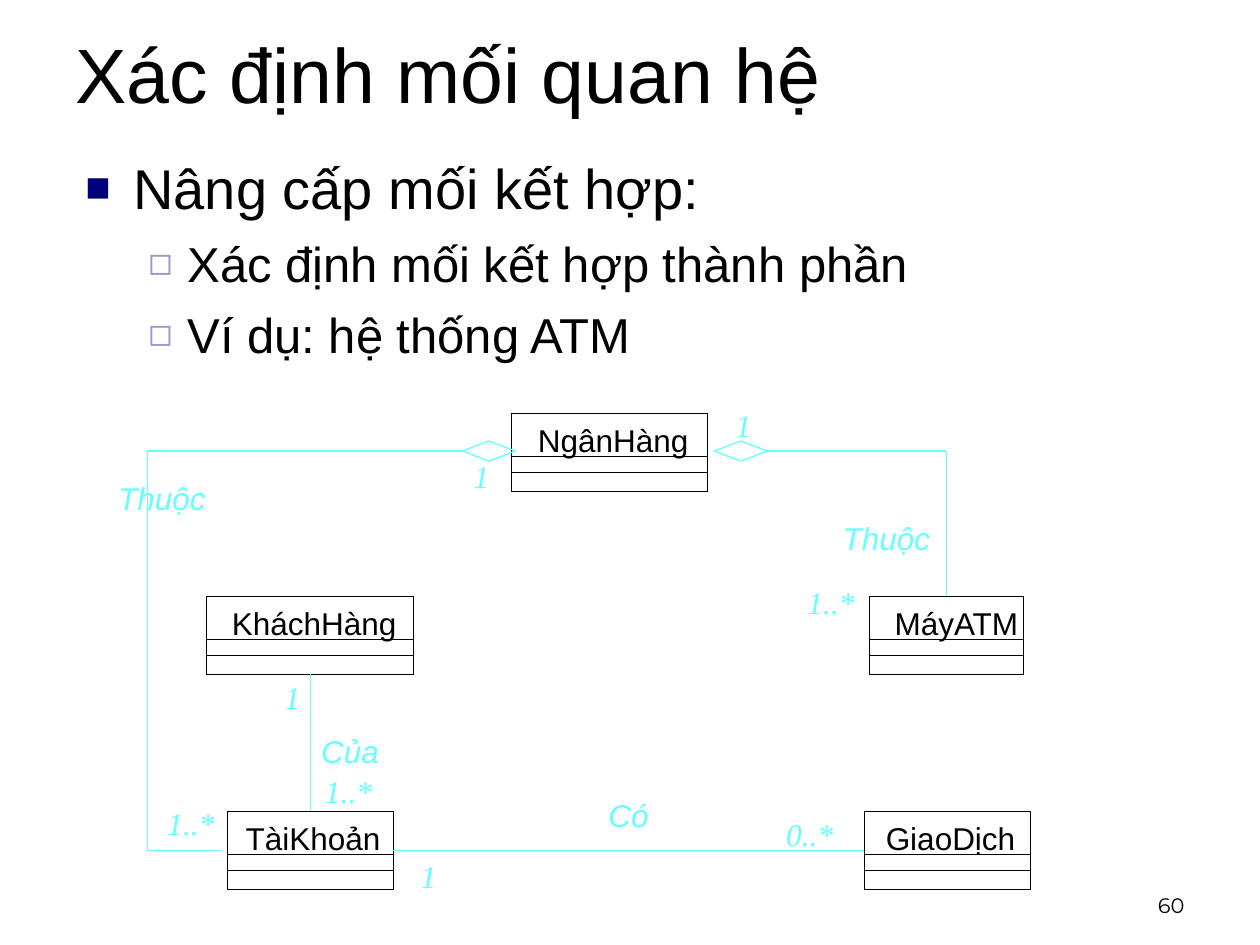
import pptx
import pptx.dml.color
import pptx.enum.shapes
import pptx.enum.text
import pptx.oxml
import pptx.oxml.ns
import pptx.util
from pptx.util import Inches

COLORS = {"text": "000000", "relation": "66FFFF", "square": "00007D", "outline_square": "9999CC"}
TOP, LEFT, BOTTOM, RIGHT = range(4)
HAIRLINE, THIN = 0.2, 0.75

BULLETS = [
    ("Nâng cấp mối kết hợp:", 0, 32),
    ("Xác định mối kết hợp thành phần", 1, 28),
    ("Ví dụ: hệ thống ATM", 1, 28),
]
BULLET_STYLES = [
    ("■", "square", 75, 0.38, 0.38),
    ("◻", "outline_square", 80, 0.81, 0.31),
]
CLASSES = [
    ("MáyATM", 6.9, 4.73, 1.22, 0.2),
    ("NgânHàng", 4.06, 3.28, 1.55, 0.21),
    ("KháchHàng", 1.64, 4.73, 1.64, 0.2),
    ("TàiKhoản", 1.8, 6.44, 1.32, 0.15),
    ("GiaoDịch", 6.86, 6.44, 1.32, 0.17),
]
RELATION_NAMES = [
    ("Có", 4.73, 6.27, 0.65),
    ("Của", 2.45, 5.76, 0.7),
    ("Thuộc", 6.59, 4.07, 1),
    ("Thuộc", 0.84, 3.75, 1),
]
MULTIPLICITIES = [
    ("0..*", 6.14, 6.42, 0.65),
    ("1", 3.24, 6.75, 0.35),
    ("1..*", 2.48, 6.08, 0.65),
    ("1", 2.16, 5.33, 0.35),
    ("1", 5.74, 3.17, 0.35),
    ("1..*", 6.31, 4.58, 0.65),
    ("1", 3.66, 3.58, 0.35),
    ("1..*", 1.23, 6.33, 0.65),
]


def rgb(color):
    return pptx.dml.color.RGBColor.from_string(COLORS[color])


def add_run(paragraph, text, size, color="text", font="Arial", italic=False):
    run = paragraph.add_run()
    run.text = text
    run.font.size = pptx.util.Pt(size)
    run.font.name = font
    run.font.italic = italic
    run.font.color.rgb = rgb(color)


def add_text(shapes, text, left, top, width, height=0.4, inset=True, size=18, **style):
    box = shapes.add_textbox(Inches(left), Inches(top), Inches(width), Inches(height))
    frame = box.text_frame
    frame.word_wrap = False
    if not inset:
        frame.margin_left = frame.margin_right = frame.margin_top = frame.margin_bottom = 0
    add_run(frame.paragraphs[0], text, size, **style)
    return frame


def add_outline(shapes, kind, left, top, width, height, color, weight):
    shape = shapes.add_shape(kind, Inches(left), Inches(top), Inches(width), Inches(height))
    shape.shadow.inherit = False
    shape.fill.background()
    shape.line.color.rgb = rgb(color)
    shape.line.width = pptx.util.Pt(weight)
    return shape


def add_class(slide, name, left, top, width, indent):
    shapes = slide.shapes.add_group_shape().shapes
    height = 0.62
    rectangle = pptx.enum.shapes.MSO_SHAPE.RECTANGLE
    frame = add_outline(shapes, rectangle, left, top, width, height, "text", HAIRLINE)
    add_text(shapes, name, left + indent, top + 0.06, width - indent, 0.3, inset=False)
    for part in (0.28, 0.15):
        add_outline(shapes, rectangle, left, top + height - part, width, part, "text", HAIRLINE)
    return frame


def add_diamond(slide, left):
    kind = pptx.enum.shapes.MSO_SHAPE.DIAMOND
    return add_outline(slide.shapes, kind, left, 3.5, 0.42, 0.16, "relation", THIN)


def add_line(slide, start, end, weight, begin=None, finish=None):
    points = [Inches(value) for value in (*start, *end)]
    connector = slide.shapes.add_connector(pptx.enum.shapes.MSO_CONNECTOR.STRAIGHT, *points)
    connector.line.color.rgb = rgb("relation")
    connector.line.width = pptx.util.Pt(weight)
    connector._element.spPr.append(
        pptx.oxml.parse_xml(f"<a:effectLst {pptx.oxml.ns.nsdecls('a')}/>"))
    if begin:
        connector.begin_connect(*begin)
    if finish:
        connector.end_connect(*finish)


def add_bullet(paragraph, level):
    symbol, color, percent, margin, hanging = BULLET_STYLES[level]
    paragraph.level = level
    properties = paragraph._p.get_or_add_pPr()
    properties.set("marL", str(Inches(margin)))
    properties.set("indent", str(-Inches(hanging)))
    namespace = pptx.oxml.ns.nsdecls("a")
    for xml in (
        f'<a:buClr {namespace}><a:srgbClr val="{COLORS[color]}"/></a:buClr>',
        f'<a:buSzPct {namespace} val="{percent * 1000}"/>',
        f'<a:buFont {namespace} typeface="Arial"/>',
        f'<a:buChar {namespace} char="{symbol}"/>',
    ):
        properties.append(pptx.oxml.parse_xml(xml))


def add_title(slide):
    title = slide.shapes.title
    title.left, title.top = Inches(0.5), Inches(-0.17)
    title.width, title.height = Inches(9), Inches(1.5)
    title.text_frame.vertical_anchor = pptx.enum.text.MSO_ANCHOR.MIDDLE
    paragraph = title.text_frame.paragraphs[0]
    paragraph.alignment = pptx.enum.text.PP_ALIGN.LEFT
    add_run(paragraph, "Xác định mối quan hệ", 44)


def add_body(slide):
    box = slide.shapes.add_textbox(Inches(0.58), Inches(1.17), Inches(9), Inches(1.85))
    frame = box.text_frame
    frame.word_wrap = True
    for index, (text, level, size) in enumerate(BULLETS):
        paragraph = frame.add_paragraph() if index else frame.paragraphs[0]
        add_bullet(paragraph, level)
        if index:
            paragraph.space_before = pptx.util.Pt(7)
        add_run(paragraph, text, size)


def add_relations(slide, classes):
    account, customer = classes["TàiKhoản"], classes["KháchHàng"]
    middle = (4.99, 6.75)
    add_line(slide, middle, (6.86, 6.75), HAIRLINE, finish=(classes["GiaoDịch"], LEFT))
    add_line(slide, middle, (3.12, 6.75), HAIRLINE, finish=(account, RIGHT))
    middle = (2.46, 5.9)
    add_line(slide, middle, (2.46, 6.44), HAIRLINE, finish=(account, TOP))
    add_line(slide, middle, (2.46, 5.35), HAIRLINE, finish=(customer, BOTTOM))

    left_diamond, right_diamond = add_diamond(slide, 3.67), add_diamond(slide, 5.67)
    lower, upper, corner = (1.17, 6.75), (1.17, 3.58), (7.51, 3.58)
    add_line(slide, lower, (1.75, 6.75), THIN)
    add_line(slide, lower, upper, THIN)
    add_line(slide, upper, (3.67, 3.58), THIN, finish=(left_diamond, LEFT))
    add_line(slide, (6.09, 3.58), corner, THIN, begin=(right_diamond, RIGHT))
    add_line(slide, corner, (7.51, 4.73), THIN, finish=(classes["MáyATM"], TOP))


def add_slide_number(slide):
    frame = add_text(slide.shapes, "60", 7.17, 6.83, 2.33, 0.5, size=12, font="Montserrat")
    frame.word_wrap = True
    frame.vertical_anchor = pptx.enum.text.MSO_ANCHOR.BOTTOM
    frame.paragraphs[0].alignment = pptx.enum.text.PP_ALIGN.RIGHT


def main():
    presentation = pptx.Presentation()
    presentation.slide_width, presentation.slide_height = Inches(10), Inches(7.5)
    slide = presentation.slides.add_slide(presentation.slide_layouts[5])
    add_title(slide)
    add_body(slide)
    add_slide_number(slide)
    classes = {item[0]: add_class(slide, *item) for item in CLASSES}
    add_relations(slide, classes)
    for labels, font in ((RELATION_NAMES, "Arial"), (MULTIPLICITIES, "Times New Roman")):
        for label in labels:
            add_text(slide.shapes, *label, color="relation", font=font, italic=True)
    presentation.save("out.pptx")


if __name__ == "__main__":
    main()
